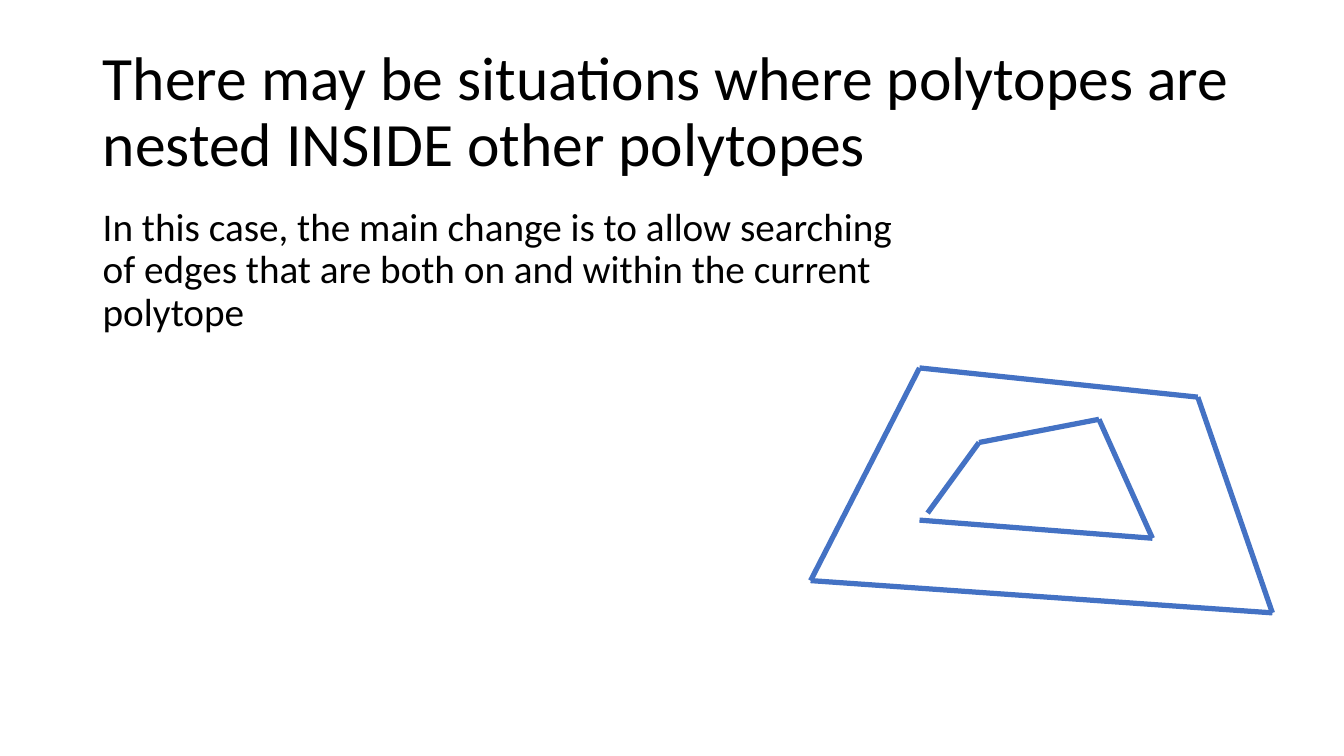
from itertools import pairwise

from lxml.etree import SubElement
from pptx import Presentation
from pptx.dml.color import RGBColor
from pptx.enum.shapes import MSO_CONNECTOR
from pptx.enum.text import MSO_ANCHOR, MSO_AUTO_SIZE, PP_ALIGN
from pptx.oxml.ns import qn
from pptx.util import Inches, Pt

COLORS = {"text": "000000", "edge": "4472C4", "page": "FFFFFF"}
FONT = "Calibri"
TITLE_BOX = (0.92, 0.4, 11.5, 1.45)
BODY_BOX = (0.92, 2.01, 8.09, 4.74)
FIGURE_BOX = (8.04, 3.65, 4.58, 2.43)

OUTER_POLYTOPE = [(0, 2.11), (1.08, 0), (3.84, 0.29), (4.58, 2.43), (0, 2.11)]
INNER_POLYTOPE = [(1.16, 1.44), (1.67, 0.74), (2.86, 0.51), (3.39, 1.69), (1.08, 1.51)]


def color(name):
    return RGBColor.from_string(COLORS[name])


def write_text(shape, text, size, anchor, space_before=0):
    frame = shape.text_frame
    frame.word_wrap = True
    frame.auto_size = MSO_AUTO_SIZE.NONE
    frame.vertical_anchor = anchor
    frame.text = text
    para = frame.paragraphs[0]
    para.alignment = PP_ALIGN.LEFT
    para.line_spacing = 0.9
    para.space_before = Pt(space_before)
    para.font.name = FONT
    para.font.size = Pt(size)
    para.font.color.rgb = color("text")


def add_title(page, box, text):
    title = page.shapes.title
    title.left, title.top, title.width, title.height = map(Inches, box)
    write_text(title, text, 44, MSO_ANCHOR.MIDDLE)


def add_body(page, box, text):
    body = page.shapes.add_textbox(*map(Inches, box))
    write_text(body, text, 28, MSO_ANCHOR.TOP, space_before=10)


def add_polytope(page, box, corners):
    left, top = box[:2]
    points = [(Inches(left + x), Inches(top + y)) for x, y in corners]
    for start, end in pairwise(points):
        edge = page.shapes.add_connector(MSO_CONNECTOR.STRAIGHT, *start, *end)
        edge.line.color.rgb = color("edge")
        edge.line.width = Pt(3.75)
        SubElement(edge._element.spPr, qn("a:effectLst"))


def main():
    deck = Presentation()
    deck.slide_width, deck.slide_height = Inches(13.33), Inches(7.5)
    page = deck.slides.add_slide(deck.slide_layouts.get_by_name("Title Only"))
    page.background.fill.solid()
    page.background.fill.fore_color.rgb = color("page")
    add_title(page, TITLE_BOX,
              "There may be situations where polytopes are nested INSIDE other polytopes")
    add_body(page, BODY_BOX,
             "In this case, the main change is to allow searching of edges "
             "that are both on and within the current polytope")
    for corners in (OUTER_POLYTOPE, INNER_POLYTOPE):
        add_polytope(page, FIGURE_BOX, corners)
    deck.save("out.pptx")


if __name__ == "__main__":
    main()
